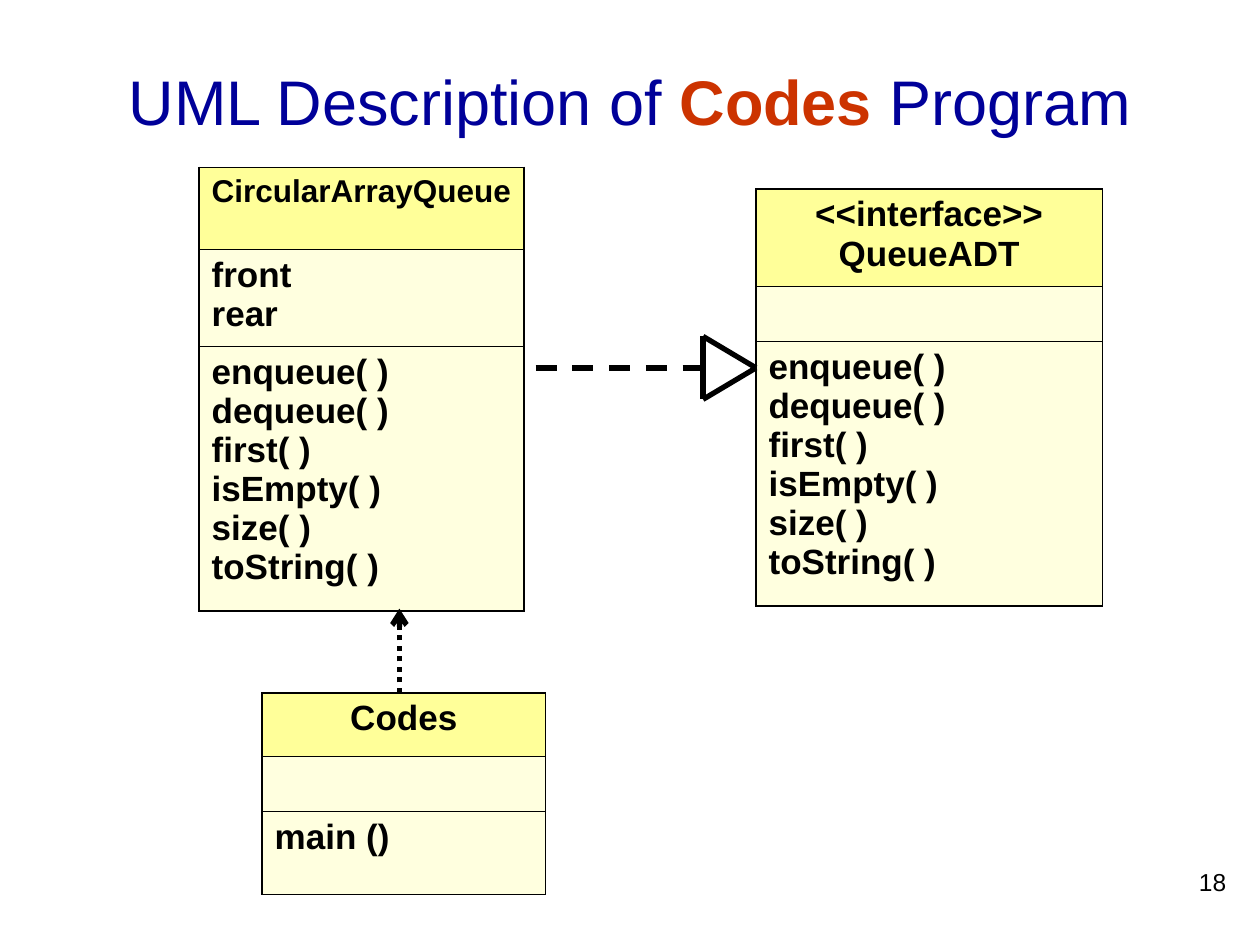
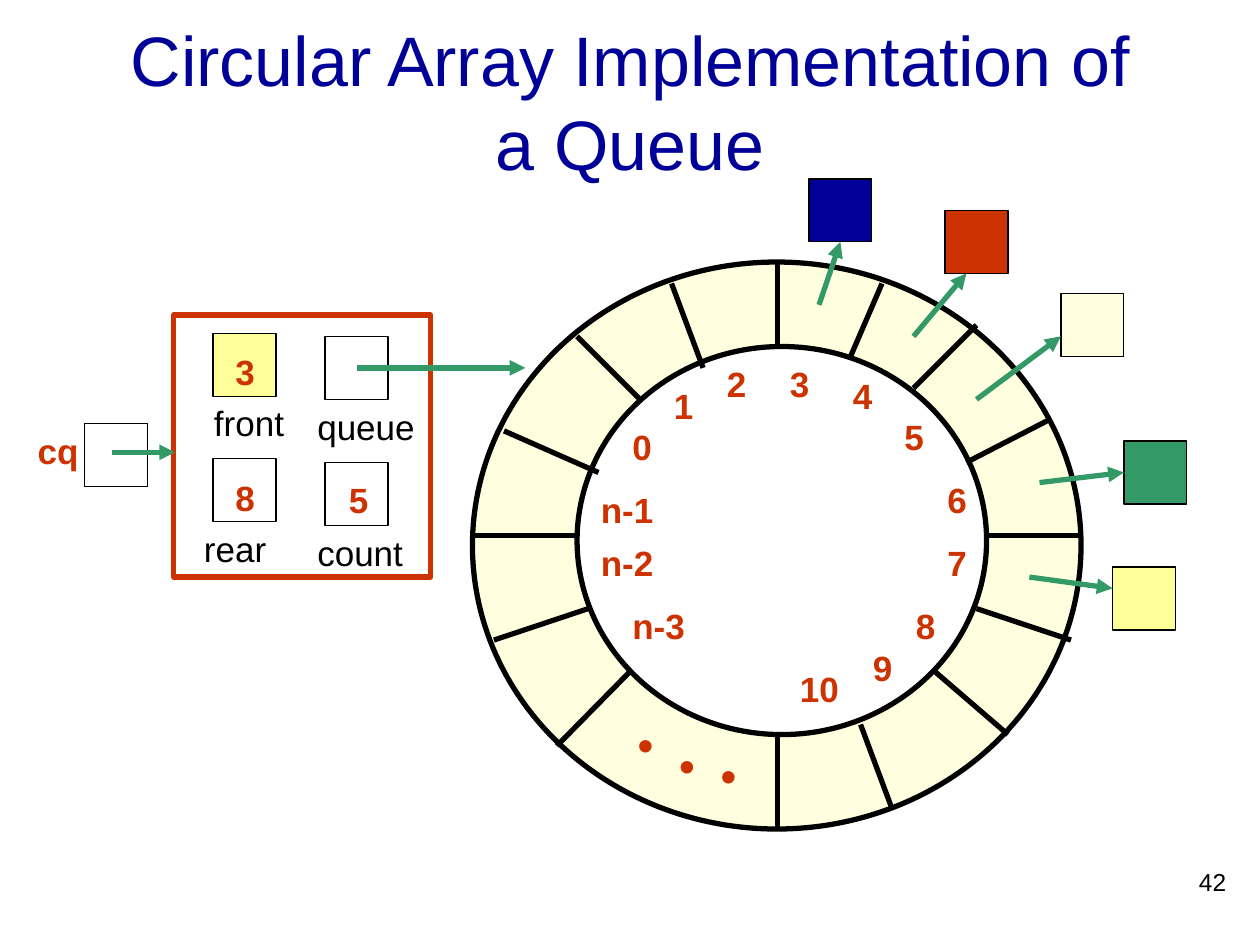
import dataclasses
import typing

import lxml.etree
import pptx
import pptx.dml.color
import pptx.enum.dml
import pptx.enum.shapes
import pptx.enum.text
import pptx.oxml.ns
import pptx.util

Inches = pptx.util.Inches
Pt = pptx.util.Pt
RGBColor = pptx.dml.color.RGBColor
Align = pptx.enum.text.PP_ALIGN
Dash = pptx.enum.dml.MSO_LINE
Preset = pptx.enum.shapes.MSO_SHAPE
qn = pptx.oxml.ns.qn

NAVY = RGBColor(0x00, 0x00, 0x99)
RED = RGBColor(0xCC, 0x33, 0x00)
GREEN = RGBColor(0x33, 0x99, 0x66)
YELLOW = RGBColor(0xFF, 0xFF, 0x99)
CREAM = RGBColor(0xFF, 0xFF, 0xDF)
WHITE = RGBColor(0xFF, 0xFF, 0xFF)
BLACK = RGBColor(0x00, 0x00, 0x00)

SANS = "Arial"
SERIF = "Times New Roman"
TITLE_ONLY = 5
HEAVY = 3
THIN = 0.75
OUTER_BORDER = 1.08
INNER_BORDER = 0.45
SQUARE = 0.5
BOTTOM_SIDE, LEFT_SIDE = 2, 1

QUEUE_METHODS = ("enqueue( )", "dequeue( )", "first( )", "isEmpty( )", "size( )", "toString( )")


@dataclasses.dataclass(frozen=True)
class UmlClass:
    left: float
    top: float
    width: float
    heights: tuple[float, float, float]
    name: tuple[str, ...]
    fields: tuple[str, ...]
    methods: tuple[str, ...]
    name_size: int = 20
    name_align: Align = Align.CENTER


@dataclasses.dataclass(frozen=True)
class Segment:
    x1: float
    y1: float
    x2: float
    y2: float
    color: RGBColor = BLACK
    dash: typing.Optional[Dash] = None
    arrow: typing.Optional[str] = None


@dataclasses.dataclass(frozen=True)
class Label:
    text: str
    left: float
    top: float
    width: float = 0.39
    height: float = 0.44
    color: RGBColor = RED
    bold: bool = True
    size: int = 20
    font: str = SANS


@dataclasses.dataclass(frozen=True)
class Box:
    left: float
    top: float
    width: float = SQUARE
    height: float = SQUARE
    fill: typing.Optional[RGBColor] = None
    line: RGBColor = BLACK
    weight: float = THIN
    preset: Preset = Preset.RECTANGLE


@dataclasses.dataclass(frozen=True)
class QueuedObject:
    box: Box
    pointer: Segment
    side: typing.Optional[int] = None


UML_CLASSES = (
    UmlClass(1.58, 1.33, 2.58, (0.65, 0.77, 2.1), ("CircularArrayQueue",),
             ("front", "rear"), QUEUE_METHODS, 18, Align.LEFT),
    UmlClass(6, 1.5, 2.75, (0.77, 0.44, 2.1), ("<<interface>>", "QueueADT"), (), QUEUE_METHODS),
    UmlClass(2.08, 5.5, 2.25, (0.5, 0.44, 0.66), ("Codes",), (), ("main ()",)),
)
UML_RELATIONS = (
    Segment(4.25, 2.92, 5.58, 2.92, dash=Dash.DASH),
    Segment(5.58, 2.67, 5.58, 3.17),
    Segment(6, 2.92, 5.58, 3.17),
    Segment(5.58, 2.67, 6, 2.92),
    Segment(3.17, 5.5, 3.17, 4.83, dash=Dash.ROUND_DOT, arrow="arrow"),
)

RING = (
    Box(3.75, 2.08, 4.83, 4.5, CREAM, weight=HEAVY, preset=Preset.OVAL),
    Box(4.58, 2.75, 3.25, 3.08, WHITE, weight=HEAVY, preset=Preset.OVAL),
)
RING_DIVIDERS = (
    Segment(4.58, 4.25, 3.75, 4.25),
    Segment(7.83, 4.25, 8.58, 4.25),
    Segment(6.17, 2.08, 6.17, 2.75),
    Segment(6.17, 5.83, 6.17, 6.58),
    Segment(4.58, 2.67, 5.08, 3.17),
    Segment(7.42, 5.33, 8, 5.83),
    Segment(5, 5.33, 4.42, 5.92),
    Segment(7.75, 2.58, 7.25, 3.08),
    Segment(5.33, 2.25, 5.58, 2.92),
    Segment(6.83, 5.75, 7.08, 6.42),
    Segment(4, 3.42, 4.75, 3.75),
    Segment(7.75, 4.83, 8.5, 5.08),
    Segment(7, 2.25, 6.75, 2.83),
    Segment(8.33, 3.33, 7.67, 3.67),
    Segment(3.92, 5.08, 4.67, 4.83),
)
DIGIT_PLACES = (
    (4.92, 3.33), (5.25, 3), (5.67, 2.83), (6.17, 2.83), (6.67, 2.92),
    (7.08, 3.25), (7.42, 3.75), (7.42, 4.25), (7.17, 4.75), (6.83, 5.08),
)
INDEX_LABELS = (
    *(Label(str(index), *place) for index, place in enumerate(DIGIT_PLACES)),
    Label("10", 6.25, 5.25, 0.58),
    Label("n-1", 4.67, 3.83, 0.75),
    Label("n-2", 4.67, 4.25, 0.75),
    Label("n-3", 4.92, 4.75, 0.75),
)
ELLIPSIS_DOTS = tuple(
    Label(".", left, top, 0.33, 1.1, bold=False, size=60, font=SERIF)
    for left, top in ((4.92, 5.08), (5.25, 5.25), (5.58, 5.33))
)

RECORD_BOXES = (
    Box(1.69, 3.64),
    Box(1.69, 2.65, fill=YELLOW),
    Box(1.38, 2.5, 2.04, 2.08, line=RED, weight=HEAVY),
    Box(2.58, 3.67),
    Box(2.58, 2.67),
    Box(0.67, 3.36),
)
RECORD_LABELS = (
    Label("front", 1.6, 3.14, 0.83, color=BLACK, bold=False),
    Label("rear", 1.52, 4.14, 0.92, color=BLACK, bold=False),
    Label("queue", 2.42, 3.17, 1, color=BLACK, bold=False),
    Label("count", 2.42, 4.17, 1, color=BLACK, bold=False),
    Label("3", 1.77, 2.73),
    Label("8", 1.77, 3.73),
    Label("5", 2.67, 3.75),
    Label("cq", 0.2, 3.36, 0.74),
)


def pointer(x1: float, y1: float, x2: float, y2: float) -> Segment:
    return Segment(x1, y1, x2, y2, GREEN, arrow="triangle")


RECORD_POINTERS = (pointer(2.83, 2.92, 4.17, 2.92), pointer(0.89, 3.59, 1.39, 3.59))
QUEUED_OBJECTS = (
    QueuedObject(Box(6.42, 1.42, fill=NAVY), pointer(6.5, 2.42, 6.67, 1.92), BOTTOM_SIDE),
    QueuedObject(Box(7.5, 1.67, fill=RED), pointer(7.25, 2.67, 7.67, 2.17)),
    QueuedObject(Box(8.42, 2.33, fill=CREAM), pointer(7.75, 3.17, 8.42, 2.67)),
    QueuedObject(Box(8.92, 3.5, fill=GREEN), pointer(8.25, 3.83, 8.92, 3.75), LEFT_SIDE),
    QueuedObject(Box(8.83, 4.5, fill=YELLOW), pointer(8.17, 4.58, 8.83, 4.67)),
)


def format_run(run, size: float, color: RGBColor, bold: bool = False, font: str = SANS) -> None:
    run.font.name = font
    run.font.size = Pt(size)
    run.font.bold = bold
    run.font.color.rgb = color


def add_titled_slide(deck, title_parts: tuple[tuple[str, bool], ...], size: int):
    slide = deck.slides.add_slide(deck.slide_layouts[TITLE_ONLY])
    title = slide.shapes.title
    title.left, title.top = Inches(0.75), Inches(0.17)
    title.width, title.height = Inches(8.5), Inches(1.25)
    frame = title.text_frame
    frame.auto_size = pptx.enum.text.MSO_AUTO_SIZE.NONE
    frame.vertical_anchor = pptx.enum.text.MSO_ANCHOR.MIDDLE
    paragraph = frame.paragraphs[0]
    paragraph.alignment = Align.CENTER
    for text, emphasized in title_parts:
        run = paragraph.add_run()
        run.text = text
        format_run(run, size, RED if emphasized else NAVY, emphasized)
    return slide


def add_page_number(slide, number: int) -> None:
    page = slide.shapes.add_textbox(Inches(7.75), Inches(6.83), Inches(2.08), Inches(0.5))
    page.text_frame.word_wrap = True
    paragraph = page.text_frame.paragraphs[0]
    paragraph.text = str(number)
    paragraph.alignment = Align.RIGHT
    format_run(paragraph.runs[0], 14, BLACK)


def add_border(cell, side: str, weight: float) -> None:
    border = lxml.etree.SubElement(cell._tc.get_or_add_tcPr(), qn(f"a:ln{side}"), w=str(Pt(weight)))
    fill = lxml.etree.SubElement(border, qn("a:solidFill"))
    lxml.etree.SubElement(fill, qn("a:srgbClr"), val=str(BLACK))


def draw_uml_class(slide, uml: UmlClass) -> None:
    compartments = (uml.name, uml.fields, uml.methods)
    last = len(compartments) - 1
    table = slide.shapes.add_table(
        len(compartments), 1, Inches(uml.left), Inches(uml.top),
        Inches(uml.width), Inches(sum(uml.heights)),
    ).table
    table.first_row = table.horz_banding = False
    for index, (lines, height) in enumerate(zip(compartments, uml.heights)):
        table.rows[index].height = Inches(height)
        cell = table.cell(index, 0)
        for side in "LR":
            add_border(cell, side, OUTER_BORDER)
        add_border(cell, "T", INNER_BORDER if index else OUTER_BORDER)
        add_border(cell, "B", INNER_BORDER if index < last else OUTER_BORDER)
        cell.fill.solid()
        cell.fill.fore_color.rgb = CREAM if index else YELLOW
        cell.text_frame.text = "\n".join(lines)
        for paragraph in cell.text_frame.paragraphs:
            paragraph.alignment = Align.LEFT if index else uml.name_align
            for run in paragraph.runs:
                format_run(run, 20 if index else uml.name_size, BLACK, True)


def draw_segment(slide, segment: Segment):
    connector = slide.shapes.add_connector(
        pptx.enum.shapes.MSO_CONNECTOR.STRAIGHT,
        Inches(segment.x1), Inches(segment.y1), Inches(segment.x2), Inches(segment.y2),
    )
    connector.line.color.rgb = segment.color
    connector.line.width = Pt(HEAVY)
    if segment.dash is not None:
        connector.line.dash_style = segment.dash
    if segment.arrow:
        lxml.etree.SubElement(connector.line._get_or_add_ln(), qn("a:tailEnd"), type=segment.arrow)
    lxml.etree.SubElement(connector._element.spPr, qn("a:effectLst"))
    return connector


def draw_box(slide, box: Box):
    shape = slide.shapes.add_shape(
        box.preset, Inches(box.left), Inches(box.top), Inches(box.width), Inches(box.height))
    shape.shadow.inherit = False
    if box.fill is None:
        shape.fill.background()
    else:
        shape.fill.solid()
        shape.fill.fore_color.rgb = box.fill
    shape.line.color.rgb = box.line
    shape.line.width = Pt(box.weight)
    return shape


def draw_label(slide, label: Label) -> None:
    caption = slide.shapes.add_textbox(
        Inches(label.left), Inches(label.top), Inches(label.width), Inches(label.height))
    frame = caption.text_frame
    frame.word_wrap = True
    frame.auto_size = pptx.enum.text.MSO_AUTO_SIZE.SHAPE_TO_FIT_TEXT
    paragraph = frame.paragraphs[0]
    paragraph.text = label.text
    paragraph.space_before = Pt(label.size * 0.625)
    format_run(paragraph.runs[0], label.size, label.color, label.bold, label.font)


def draw_queued_object(slide, queued: QueuedObject) -> None:
    box = draw_box(slide, queued.box)
    connector = draw_segment(slide, queued.pointer)
    if queued.side is not None:
        connector.end_connect(box, queued.side)


def build_uml_slide(deck) -> None:
    slide = add_titled_slide(
        deck, (("UML Description of ", False), ("Codes", True), (" Program", False)), 36)
    for uml in UML_CLASSES:
        draw_uml_class(slide, uml)
    for relation in UML_RELATIONS:
        draw_segment(slide, relation)
    add_page_number(slide, 18)


def build_ring_slide(deck) -> None:
    slide = add_titled_slide(deck, (("Circular Array Implementation of a Queue", False),), 40)
    for box in RING:
        draw_box(slide, box)
    for divider in RING_DIVIDERS:
        draw_segment(slide, divider)
    for box in RECORD_BOXES:
        draw_box(slide, box)
    for label in RECORD_LABELS + INDEX_LABELS + ELLIPSIS_DOTS:
        draw_label(slide, label)
    for record_pointer in RECORD_POINTERS:
        draw_segment(slide, record_pointer)
    for queued in QUEUED_OBJECTS:
        draw_queued_object(slide, queued)
    add_page_number(slide, 42)


def main() -> None:
    deck = pptx.Presentation()
    deck.slide_width, deck.slide_height = Inches(10), Inches(7.5)
    build_uml_slide(deck)
    build_ring_slide(deck)
    deck.save("out.pptx")


if __name__ == "__main__":
    main()
